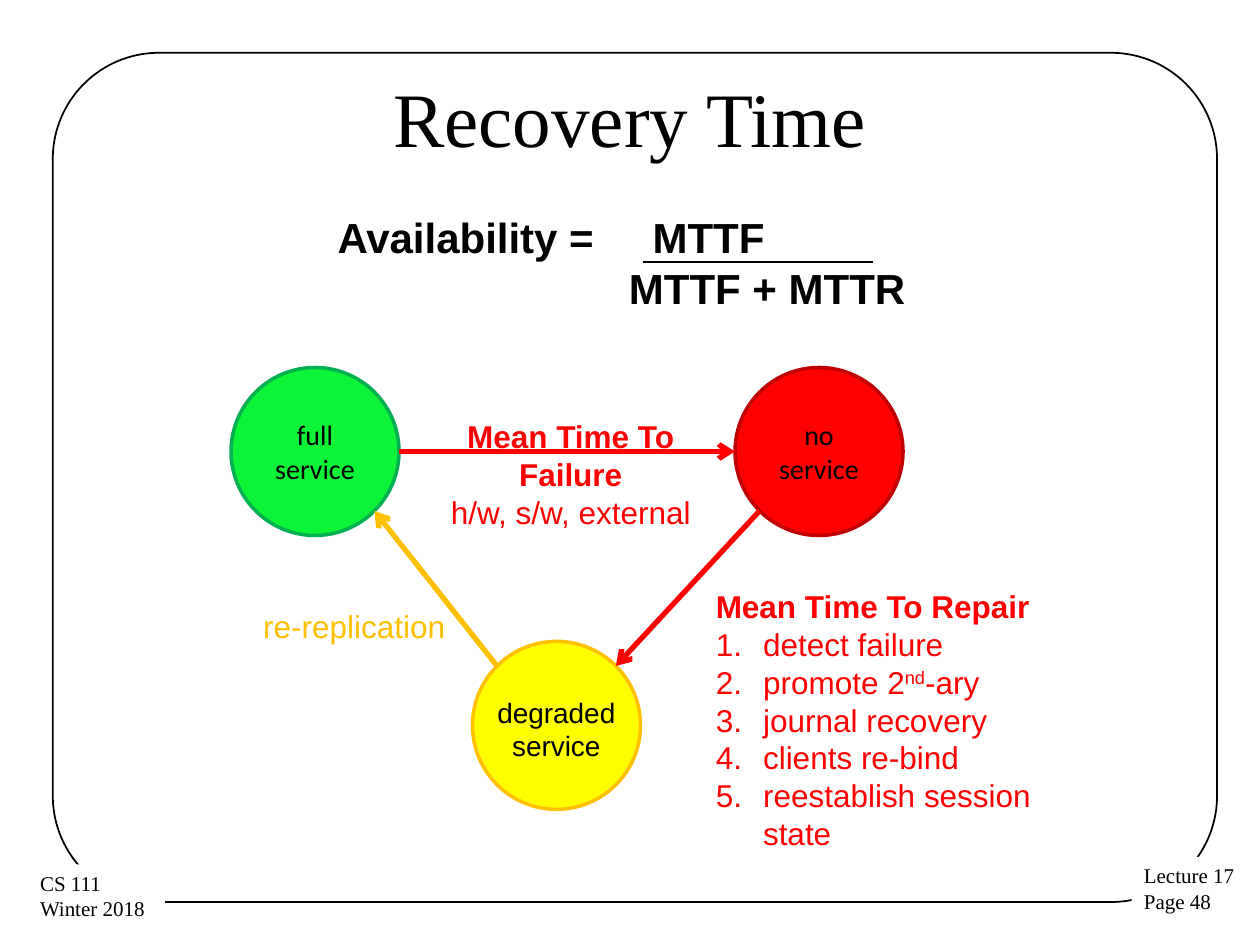
from dataclasses import dataclass
from math import sqrt
from typing import Any

from lxml import etree
from pptx import Presentation
from pptx.dml.color import RGBColor
from pptx.enum.shapes import MSO_CONNECTOR, MSO_SHAPE
from pptx.enum.text import MSO_ANCHOR, MSO_AUTO_SIZE, PP_ALIGN
from pptx.oxml.ns import qn
from pptx.util import Pt

LEFT, CENTER = PP_ALIGN.LEFT, PP_ALIGN.CENTER
TOP, MIDDLE = MSO_ANCHOR.TOP, MSO_ANCHOR.MIDDLE
NO_FIT = MSO_AUTO_SIZE.NONE
STRAIGHT = MSO_CONNECTOR.STRAIGHT
OVAL, BOX, ROUNDED = MSO_SHAPE.OVAL, MSO_SHAPE.RECTANGLE, MSO_SHAPE.ROUNDED_RECTANGLE

BLACK, WHITE, RED, AMBER = "000000", "FFFFFF", "FF0000", "FFC000"
DIAMETER = 96
DIAGONAL = DIAMETER / 2 / sqrt(2)


def color(value):
    return RGBColor.from_string(value)


def apply(target, values):
    for key, value in values.items():
        setattr(target, key, value)


@dataclass
class Slide:
    slide: Any
    font: str = "Arial"

    def label(self, shape, lines, size, ink=BLACK, font=None, bold=(),
              align=LEFT, anchor=TOP, wrap=True):
        """Put text in a shape; bold holds the indexes of the bold lines."""
        frame = shape.text_frame
        apply(frame, dict(word_wrap=wrap, vertical_anchor=anchor, auto_size=NO_FIT))
        for index, line in enumerate(lines):
            paragraph = frame.paragraphs[0] if index == 0 else frame.add_paragraph()
            apply(paragraph, dict(alignment=align, space_before=Pt(0)))
            # A tuple is split as normal, superscript, normal
            for part, text in enumerate(line if isinstance(line, tuple) else (line,)):
                run = paragraph.add_run()
                run.text = text
                apply(run.font, dict(name=font or self.font, size=Pt(size),
                                     bold=index in bold))
                run.font.color.rgb = color(ink)
                if part == 1:
                    run._r.get_or_add_rPr().set("baseline", "30000")
        return frame.paragraphs

    def place(self, shape, box):
        apply(shape, dict(zip(("left", "top", "width", "height"), map(Pt, box))))

    def text(self, box, lines, size, **style):
        return self.label(self.slide.shapes.add_textbox(*map(Pt, box)), lines, size, **style)

    def shape(self, kind, box, fill=None, line=None, weight=1):
        shape = self.slide.shapes.add_shape(kind, *map(Pt, box))
        shape.shadow.inherit = False
        if fill:
            shape.fill.solid()
            shape.fill.fore_color.rgb = color(fill)
        else:
            shape.fill.background()
        if line:
            shape.line.color.rgb = color(line)
            shape.line.width = Pt(weight)
        else:
            shape.line.fill.background()
        return shape

    def line(self, start, end, ink, weight, arrow=False):
        line = self.slide.shapes.add_connector(STRAIGHT, *map(Pt, (*start, *end)))
        line.line.color.rgb = color(ink)
        line.line.width = Pt(weight)
        if arrow:
            etree.SubElement(line.line._get_or_add_ln(), qn("a:tailEnd"), type="arrow")
        etree.SubElement(line._element.spPr, qn("a:effectLst"))

    def indent(self, paragraph, left, first=0):
        properties = paragraph._p.get_or_add_pPr()
        properties.set("marL", str(Pt(left)))
        properties.set("indent", str(Pt(first)))
        return properties


deck = Presentation()
deck.slide_width, deck.slide_height = Pt(720), Pt(540)
page = Slide(deck.slides.add_slide(deck.slide_layouts[1]))
title, repair = page.slide.placeholders

# Frame and corner labels
frame = page.shape(ROUNDED, (30.2, 30.2, 665.3, 485.3), line=BLACK)
frame.adjustments[0] = 0.125
for box, lines in (
    ((646.6, 489.6, 67, 36.7), ["Lecture 17", "Page 48"]),
    ((15.8, 493.9, 78.5, 36.7), ["CS 111", "Winter 2018"]),
):
    page.label(page.shape(BOX, box, WHITE), lines, 12, font="Times New Roman", wrap=False)

# Title
page.place(title, (36, 21.6, 648, 90))
page.label(title, ["Recovery Time"], 44, font="Times New Roman", align=CENTER, anchor=MIDDLE)

# Availability formula: tab before the numerator, indent before the denominator
numerator, denominator = page.text(
    (185.8, 117.4, 419.8, 65.5), ["Availability =\tMTTF", "MTTF + MTTR"], 24, bold=(0, 1))
tabs = etree.SubElement(page.indent(numerator, 0), qn("a:tabLst"))
etree.SubElement(tabs, qn("a:tab"), pos=str(Pt(206.5)), algn="l")
page.indent(denominator, 166.5)
page.line((367.2, 149.8), (499, 149.8), BLACK, 1.5)

# Service states, by circle centre
full, none, degraded = (180, 258), (468, 258), (318, 414.5)
for (x, y), fill, edge, caption in (
    (full, "0CF438", "00B050", "full service"),
    (none, RED, "C00000", "no service"),
    (degraded, "FFFF00", AMBER, None),
):
    state = page.shape(OVAL, (x - DIAMETER / 2, y - DIAMETER / 2, DIAMETER, DIAMETER),
                       fill, edge, 2)
    if caption:
        page.label(state, [caption], 16, font="Calibri", align=CENTER, anchor=MIDDLE)
page.text((275.8, 393.8, 84.2, 46), ["degraded", "service"], 16, align=CENTER)


# Transitions, from rim to rim
def rim(center, dx, dy, reach=DIAGONAL):
    return center[0] + dx * reach, center[1] + dy * reach


for start, end, ink in (
    (rim(full, 1, 0, DIAMETER / 2), rim(none, -1, 0, DIAMETER / 2), RED),
    (rim(none, -1, 1), rim(degraded, 1, -1), RED),
    (rim(degraded, -1, -1), rim(full, 1, 1), AMBER),
):
    page.line(start, end, ink, 3, arrow=True)

page.text((238.3, 234.7, 175.7, 51.1), ["Mean Time To Failure", "h/w, s/w, external"], 18,
          ink=RED, bold=(0,), align=CENTER)
page.text((143.3, 343.4, 174.2, 28.8), ["re-replication"], 18, ink=AMBER)

# Repair steps
page.place(repair, (401.8, 331.9, 222.5, 159.8))
steps = page.label(repair, [
    "Mean Time To Repair", "detect failure", ("promote 2", "nd", "-ary"),
    "journal recovery", "clients re-bind", "reestablish session state",
], 18, ink=RED, bold=(0,))
for number, step in enumerate(steps):
    properties = page.indent(step, 27, -27)
    if number:
        etree.SubElement(properties, qn("a:buFont"), typeface="+mj-lt")
        etree.SubElement(properties, qn("a:buAutoNum"), type="arabicPeriod")
    else:
        etree.SubElement(properties, qn("a:buNone"))

deck.save("out.pptx")
